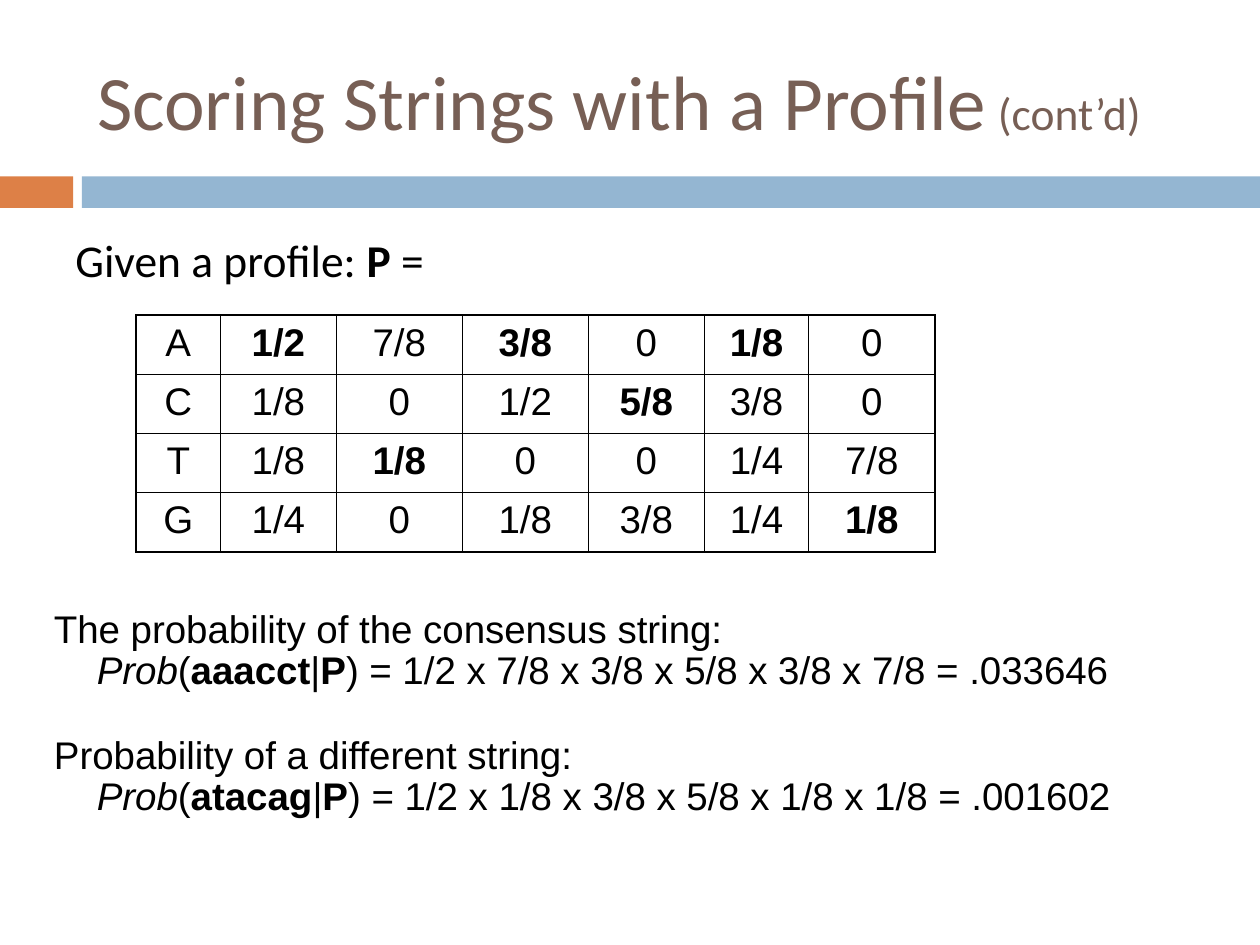
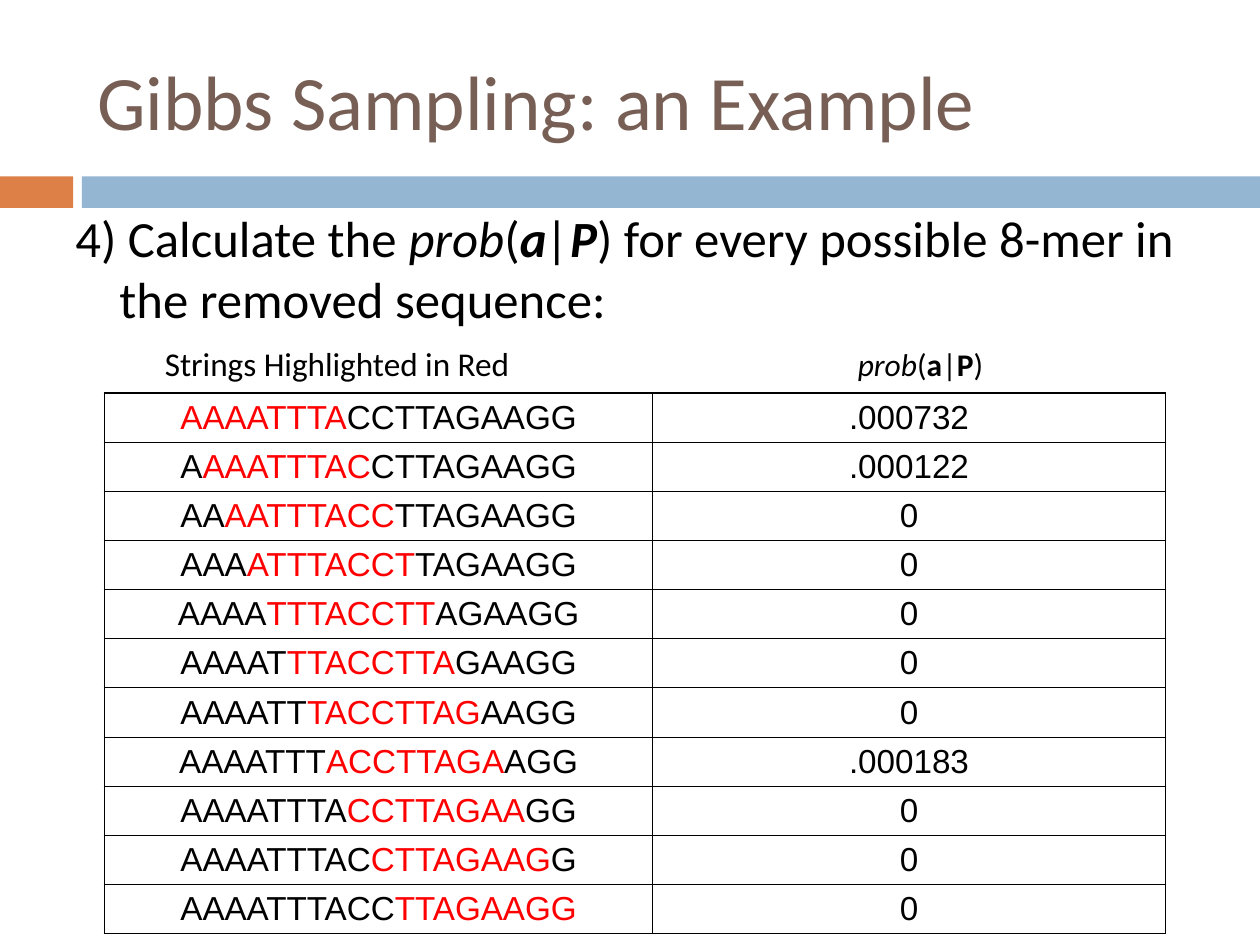
from lxml import etree
from pptx import Presentation
from pptx.dml.color import RGBColor
from pptx.enum.shapes import MSO_SHAPE
from pptx.enum.text import MSO_ANCHOR, MSO_AUTO_SIZE, PP_ALIGN
from pptx.oxml.ns import qn
from pptx.util import Inches, Pt

RECT = MSO_SHAPE.RECTANGLE
MIDDLE = MSO_ANCHOR.MIDDLE
NO_FIT = MSO_AUTO_SIZE.NONE
LEFT, CENTER = PP_ALIGN.LEFT, PP_ALIGN.CENTER

BROWN = RGBColor(0x77, 0x5F, 0x55)
ORANGE = RGBColor(0xDD, 0x80, 0x47)
BLUE = RGBColor(0x94, 0xB6, 0xD2)
BLACK = RGBColor(0, 0, 0)
RED = RGBColor(0xFF, 0, 0)

SANS, PLAIN = "Calibri", "Arial"
THIN, THICK = 0.45, 1.08
TITLE_BOX = (0.67, 0.25, 8.92, 1.08)
BANDS = [(0, 0.58, ORANGE), (0.65, 9.35, BLUE)]

PROFILE = [
    "A *1/2 7/8 *3/8 0 *1/8 0",
    "C 1/8 0 1/2 *5/8 3/8 0",
    "T 1/8 *1/8 0 0 1/4 7/8",
    "G 1/4 0 1/8 3/8 1/4 *1/8",
]
REMOVED = "AAAATTTACCTTAGAAGG"
MER = 8
SCORES = {0: ".000732", 1: ".000122", 7: ".000183"}


def write(para, runs, font, size, color=BLACK, align=LEFT):
    """Each run is (text, flags, size): b bold, i italic, r red."""
    para.alignment = align
    para.font.name, para.font.size = font, Pt(size)
    para.font.color.rgb = color
    for text, flags, *own in runs:
        run = para.add_run()
        run.text = text
        if "b" in flags:
            run.font.bold = True
        if "i" in flags:
            run.font.italic = True
        if "r" in flags:
            run.font.color.rgb = RED
        if own:
            run.font.size = Pt(own[0])


def add_text(slide, box):
    frame = slide.shapes.add_textbox(*map(Inches, box)).text_frame
    frame.word_wrap = True
    return frame


def hang(para, depth):
    props = para._p.get_or_add_pPr()
    props.set("marL", str(Inches(depth)))
    props.set("indent", str(-Inches(depth)))


def set_tabs(para, stops):
    tabs = etree.SubElement(para._p.get_or_add_pPr(), qn("a:tabLst"))
    for stop in stops:
        etree.SubElement(tabs, qn("a:tab"), pos=str(Inches(stop)), algn="l")


def add_base(deck, runs):
    """Slide with the shared title and colour bands."""
    slide = deck.slides.add_slide(deck.slide_layouts[5])
    for left, width, color in BANDS:
        box = (left, 1.4, width, 0.25)
        band = slide.shapes.add_shape(RECT, *map(Inches, box))
        band.shadow.inherit = False
        band.fill.solid()
        band.fill.fore_color.rgb = color
        band.line.fill.background()
    title = slide.shapes.title
    title.left, title.top, title.width, title.height = map(Inches, TITLE_BOX)
    frame = title.text_frame
    frame.auto_size, frame.vertical_anchor = NO_FIT, MIDDLE
    frame.word_wrap = True
    write(frame.paragraphs[0], runs, SANS, 44, BROWN)
    return slide


def set_edges(cell, weights):
    """Cell borders: left, right, top, bottom; they precede the fill."""
    props = cell._tc.get_or_add_tcPr()
    for spot, (side, weight) in enumerate(zip("LRTB", weights)):
        line = etree.Element(qn("a:ln" + side), w=str(Pt(weight)))
        fill = etree.SubElement(line, qn("a:solidFill"))
        etree.SubElement(fill, qn("a:srgbClr"), val=str(BLACK))
        props.insert(spot, line)


def add_grid(slide, spot, widths, height, rows, size, foot=0.05):
    """Ruled table of centred cells, each a list of runs."""
    box = (*spot, sum(widths), height * len(rows))
    table = slide.shapes.add_table(
        len(rows), len(widths), *map(Inches, box)).table
    table.first_row = table.horz_banding = False
    for col, width in zip(table.columns, widths):
        col.width = Inches(width)
    last_row, last_col = len(rows) - 1, len(widths) - 1
    for r, row in enumerate(rows):
        table.rows[r].height = Inches(height)
        for c, runs in enumerate(row):
            cell = table.cell(r, c)
            cell.fill.background()
            cell.margin_top, cell.margin_bottom = Inches(0.05), Inches(foot)
            write(cell.text_frame.paragraphs[0], runs, PLAIN, size,
                  align=CENTER)
            outer = (c == 0, c == last_col, r == 0, r == last_row)
            set_edges(cell, [THICK if edge else THIN for edge in outer])


def add_prob(slide, top, lead, string, sums):
    """Lead line with the worked product under it."""
    frame = add_text(slide, (0.33, top, 6.17, 0.47))
    write(frame.paragraphs[0], [(lead, "")], PLAIN, 22)
    frame = add_text(slide, (0.67, top + 0.33, 8.5, 0.47))
    runs = [("Prob", "i"), ("(", ""), (string, "b"), ("|", ""),
            ("P", "b"), (") = " + sums, "")]
    write(frame.paragraphs[0], runs, PLAIN, 22)


def add_scoring(deck):
    slide = add_base(deck, [("Scoring Strings with a Profile", ""),
                            (" (cont’d)", "", 26)])
    # Profile matrix
    para = add_text(slide, (0.5, 1.79, 9, 1.25)).paragraphs[0]
    hang(para, 0.35)
    write(para, [("Given a profile: ", ""), ("P", "b"), (" =", "")], SANS, 26)
    rows = [[[(item.lstrip("*"), "b" if item[0] == "*" else "")]
             for item in line.split()] for line in PROFILE]
    add_grid(slide, (1.08, 2.5), (0.67, 0.92, 1, 1, 0.92, 0.83, 1), 0.47,
             rows, 22)
    # Worked examples
    add_prob(slide, 4.75, "The probability of the consensus string:", "aaacct",
             "1/2 x 7/8 x 3/8 x 5/8 x 3/8 x 7/8 = .033646")
    add_prob(slide, 5.75, "Probability of a different string:", "atacag",
             "1/2 x 1/8 x 3/8 x 5/8 x 1/8 x 1/8 = .001602")


def add_gibbs(deck):
    slide = add_base(deck, [("Gibbs Sampling: an Example", "")])
    # Step and column captions
    frame = add_text(slide, (0.5, 1.59, 9, 1.5))
    step = frame.paragraphs[0]
    hang(step, 0.35)
    write(step, [("4) Calculate the ", ""), ("prob", "i"), ("(", ""),
                 ("a", "bi"), ("|", "i"), ("P", "bi"),
                 (") for every possible 8-mer in the removed sequence:", "")],
          SANS, 29)
    heads = frame.add_paragraph()
    heads.space_before = Pt(8.5)
    set_tabs(heads, (0.71, 6.21))
    write(heads, [("\tStrings Highlighted in Red\t", "", 19), ("prob", "i"),
                  ("(", ""), ("a", "b"), ("|", ""), ("P", "b"), (")", "")],
          SANS, 18)
    # Sliding window over the removed sequence
    rows = []
    for start in range(len(REMOVED) - MER + 1):
        end = start + MER
        parts = [(REMOVED[:start], ""), (REMOVED[start:end], "r"),
                 (REMOVED[end:], "")]
        rows.append([[part for part in parts if part[0]],
                     [(SCORES.get(start, "0"), "")]])
    add_grid(slide, (0.83, 3.12), (4.35, 4.07), 0.39, rows, 19, foot=0.02)


def main():
    deck = Presentation()
    deck.slide_width, deck.slide_height = Inches(10), Inches(7.5)
    add_scoring(deck)
    add_gibbs(deck)
    deck.save("out.pptx")


if __name__ == "__main__":
    main()
